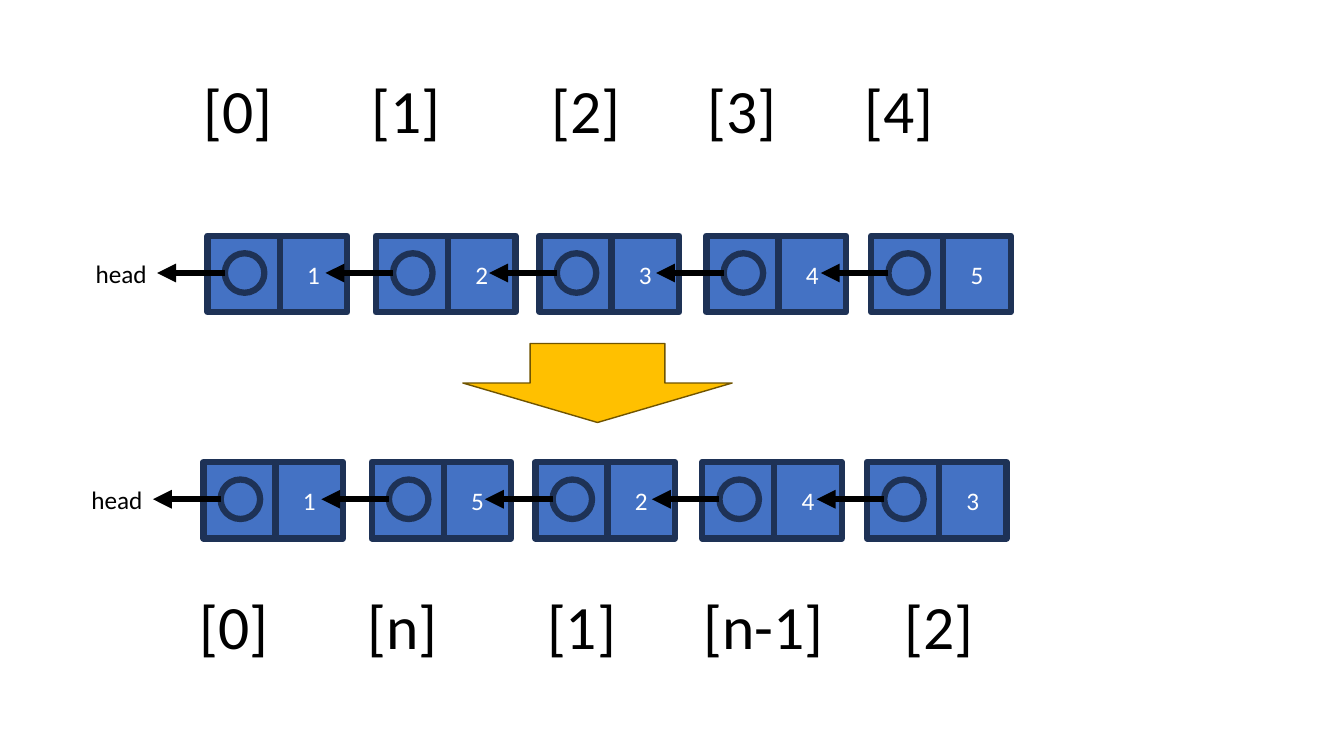
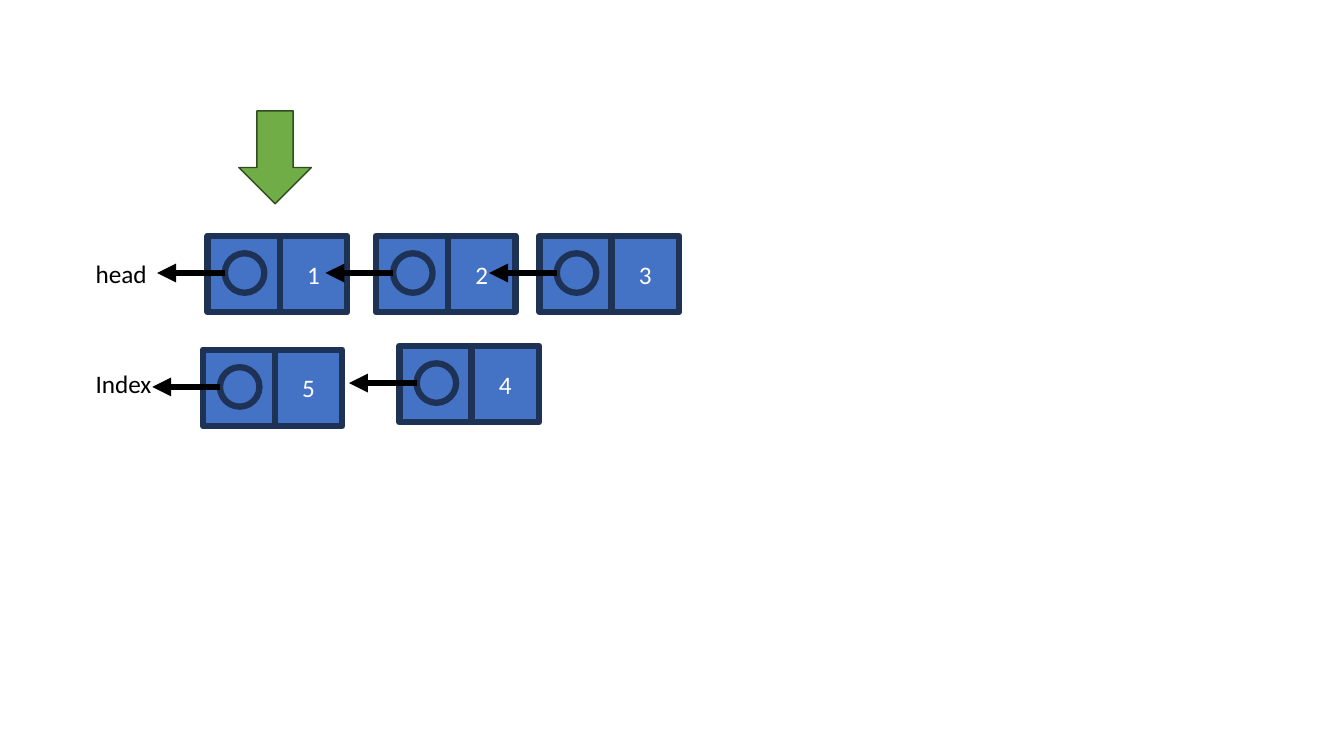
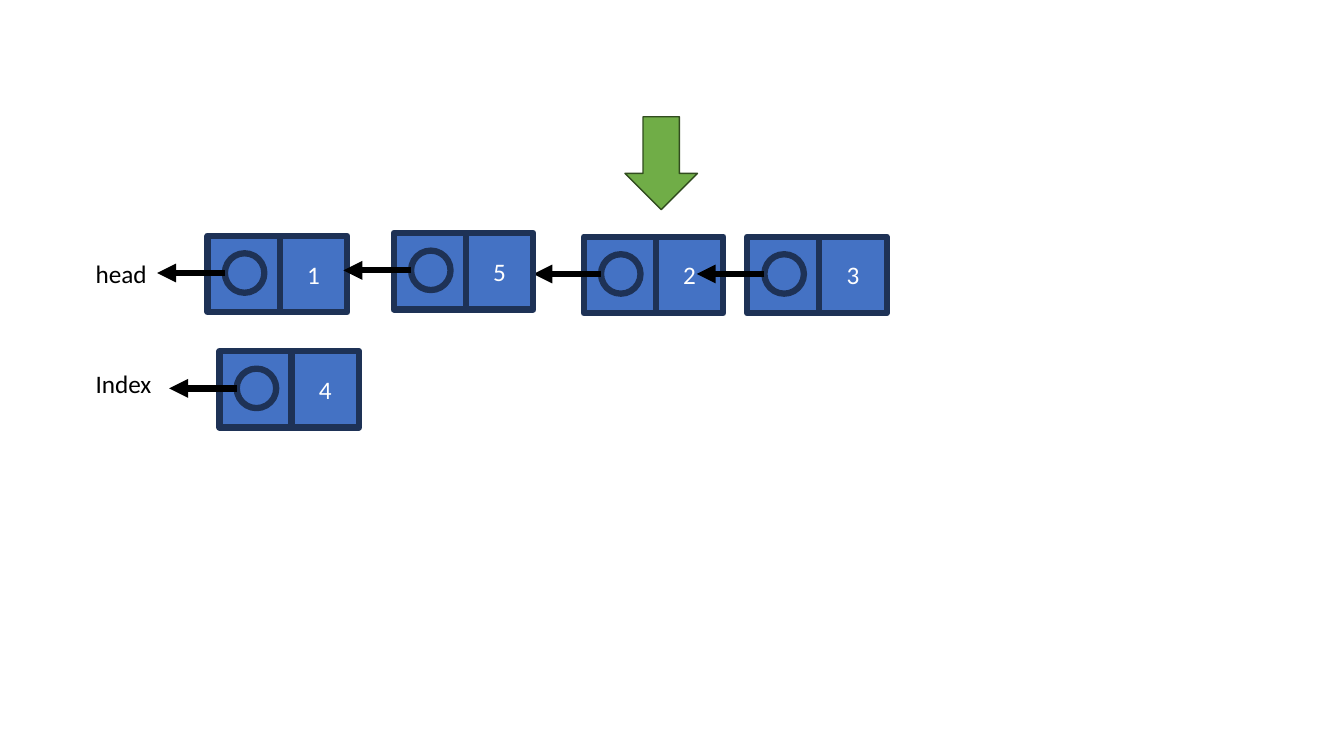
"""Draws three slides of a linked list being reordered."""
from lxml import etree
from pptx import Presentation
from pptx.dml import color
from pptx.enum import shapes, text
from pptx.oxml import ns
from pptx.util import Pt

FONT = "Calibri"
BLACK, WHITE, BLUE, NAVY = "000000", "FFFFFF", "4472C4", "1E3256"
GOLD, BROWN, GREEN, MOSS = "FFC000", "705400", "70AD47", "314C1F"

COLUMNS = (148.3, 268.5, 385.4, 504.6, 622.3)
TOP, LOWER, SHIFT = 168.4, 330, -3
POINTER_W, VALUE_W, NODE_H = 51.5, 48.2, 54.6
RING_X, RING_Y, RING = 12.3, 12.5, 28.2
ARROW_Y, ARROW_LENGTH = 26.6, 48.3
TABS = (72, 192, 320.5, 432)

HEAD = ("head", 61.2, 180.7, 51.8)
INDEX = ("Index", 61.2, 259.2, 54.7)


def row(values, top, shift=0):
    return [(value, x + shift, top) for value, x in zip(values, COLUMNS)]


SLIDES = [
    {
        "title": (["[0]", "[1]", "[2]", "[3]", "[4]"], 66, 28.8, 544.5),
        "caption": (["[0]", "[n]", "[1]", "[n-1]", "[2]"], 63.2, 397.4, 576),
        "nodes": row("12345", TOP) + row("15243", LOWER, SHIFT),
        "labels": [HEAD, ("head", 58.2, 342.4, 51.8)],
        "marker": (330.6, 245.4, 192.4, 56.4, GOLD, BROWN),
    },
    {
        "nodes": row("123", TOP) + [("4", 285.3, 247), ("5", 144.8, 249.8)],
        "labels": [HEAD, INDEX],
        "marker": (170.6, 79.2, 51.8, 66.4, GREEN, MOSS),
    },
    {
        "nodes": [("1", COLUMNS[0], TOP), ("2", 417, 169.1), ("3", 533.7, 169.1),
                  ("4", 156.8, 250.8), ("5", 281.3, 166.5)],
        "labels": [HEAD, INDEX],
        "marker": (446.4, 83.4, 51.8, 66.4, GREEN, MOSS),
    },
]


def rgb(value):
    return color.RGBColor.from_string(value)


def write(para, content, size, shade):
    span = para.add_run()
    span.text = content
    span.font.name = FONT
    span.font.size = Pt(size)
    span.font.color.rgb = rgb(shade)


def add_block(parent, kind, place, fill=BLUE, line=NAVY, weight=4.5):
    block = parent.add_shape(kind, *map(Pt, place))
    block.shadow.inherit = False
    block.fill.solid()
    block.fill.fore_color.rgb = rgb(fill)
    block.line.color.rgb = rgb(line)
    block.line.width = Pt(weight)
    return block


def add_arrow(parent, x, y):
    arrow = parent.add_connector(shapes.MSO_CONNECTOR.STRAIGHT, Pt(x), Pt(y),
                                 Pt(x - ARROW_LENGTH), Pt(y))
    arrow.line.color.rgb = rgb(BLACK)
    arrow.line.width = Pt(4.5)
    etree.SubElement(arrow.line._get_or_add_ln(), ns.qn("a:tailEnd"), type="triangle")
    etree.SubElement(arrow._element.spPr, ns.qn("a:effectLst"))


def add_node(page, value, x, y):
    node = page.shapes.add_group_shape().shapes
    rect = shapes.MSO_SHAPE.RECTANGLE
    cell = add_block(node, rect, (x + POINTER_W, y, VALUE_W, NODE_H))
    cell.text_frame.vertical_anchor = text.MSO_ANCHOR.MIDDLE
    para = cell.text_frame.paragraphs[0]
    para.alignment = text.PP_ALIGN.CENTER
    write(para, value, 18, WHITE)
    add_block(node, rect, (x, y, POINTER_W, NODE_H))
    add_block(node, shapes.MSO_SHAPE.OVAL, (x + RING_X, y + RING_Y, RING, RING))
    add_arrow(node, x + RING_X, y + ARROW_Y)


def add_label(page, content, x, y, width):
    box = page.shapes.add_textbox(Pt(x), Pt(y), Pt(width), Pt(29))
    box.text_frame.word_wrap = False
    box.text_frame.auto_size = text.MSO_AUTO_SIZE.SHAPE_TO_FIT_TEXT
    write(box.text_frame.paragraphs[0], content, 18, BLACK)


def fill_indices(box, indices, x, y, last_tab):
    box.left, box.top, box.width, box.height = map(Pt, (x, y, 828, 104.4))
    frame = box.text_frame
    frame.word_wrap = True
    frame.auto_size = text.MSO_AUTO_SIZE.NONE
    frame.vertical_anchor = text.MSO_ANCHOR.MIDDLE
    para = frame.paragraphs[0]
    para.alignment = text.PP_ALIGN.LEFT
    para.line_spacing = 0.9
    stops = etree.SubElement(para._p.get_or_add_pPr(), ns.qn("a:tabLst"))
    for stop in (*TABS, last_tab):
        etree.SubElement(stops, ns.qn("a:tab"), pos=str(Pt(stop)), algn="l")
    for index in indices:
        write(para, "\t" + index, 44, BLACK)


def build(deck, content):
    titled = "title" in content
    page = deck.slides.add_slide(deck.slide_layouts[5 if titled else 6])
    if titled:
        fill_indices(page.shapes.title, *content["title"])
    for node in content["nodes"]:
        add_node(page, *node)
    for label in content["labels"]:
        add_label(page, *label)
    *place, fill, line = content["marker"]
    add_block(page.shapes, shapes.MSO_SHAPE.DOWN_ARROW, place, fill, line, 1)
    if "caption" in content:
        box = page.shapes.add_textbox(0, 0, 0, 0)
        fill_indices(box, *content["caption"])


def main():
    deck = Presentation()
    deck.slide_width, deck.slide_height = Pt(960), Pt(540)
    for content in SLIDES:
        build(deck, content)
    deck.save("out.pptx")


if __name__ == "__main__":
    main()
